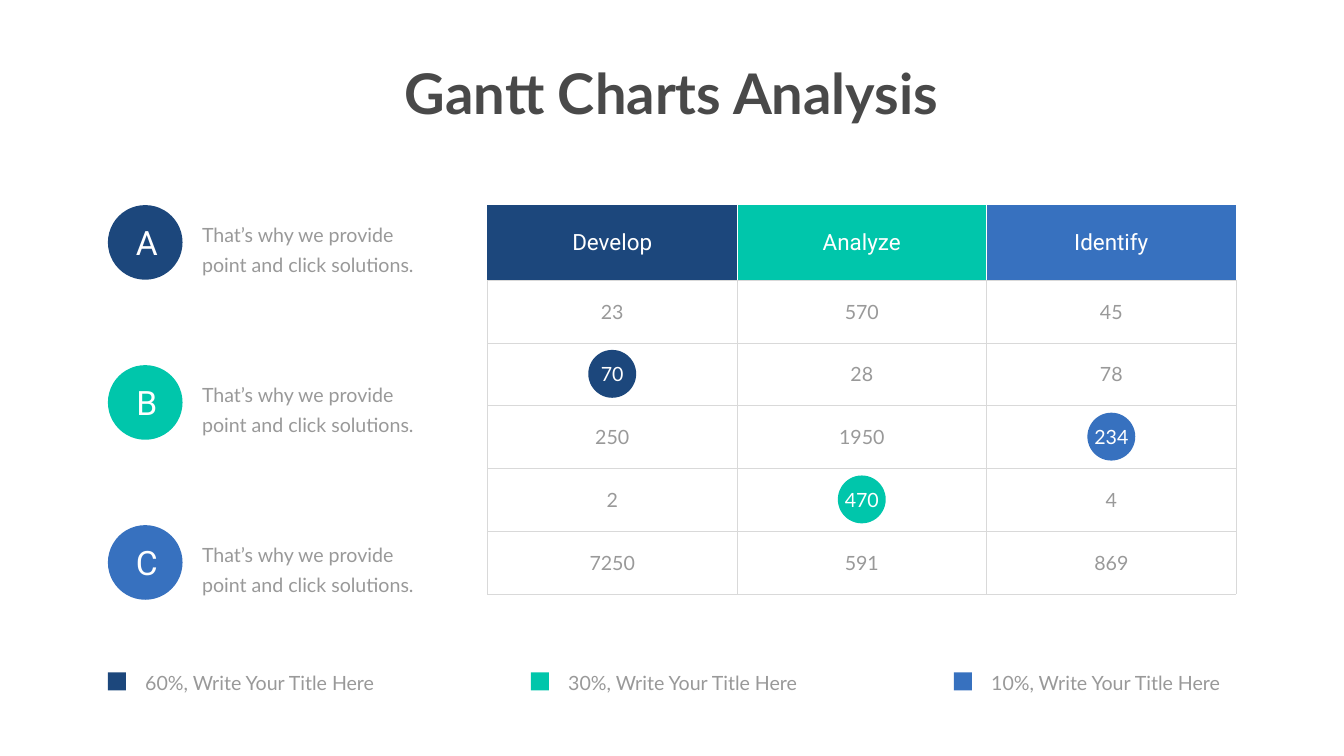
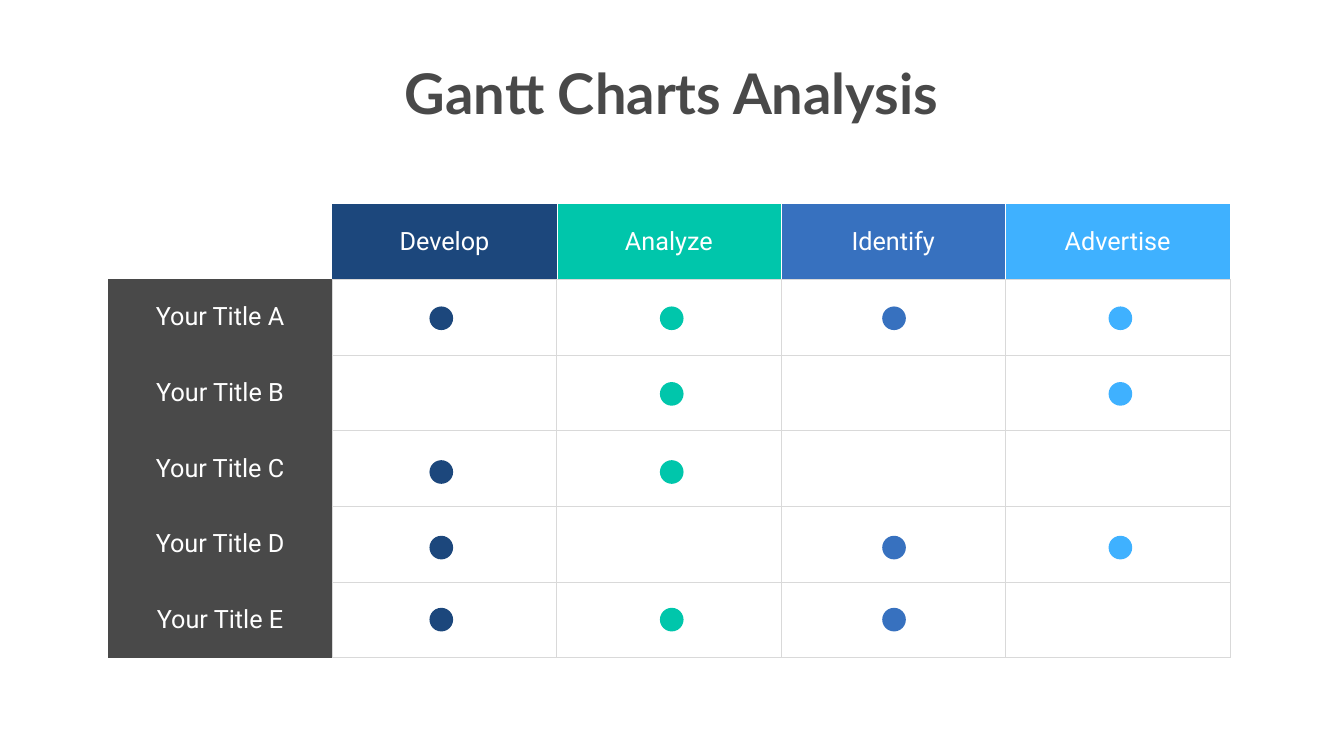
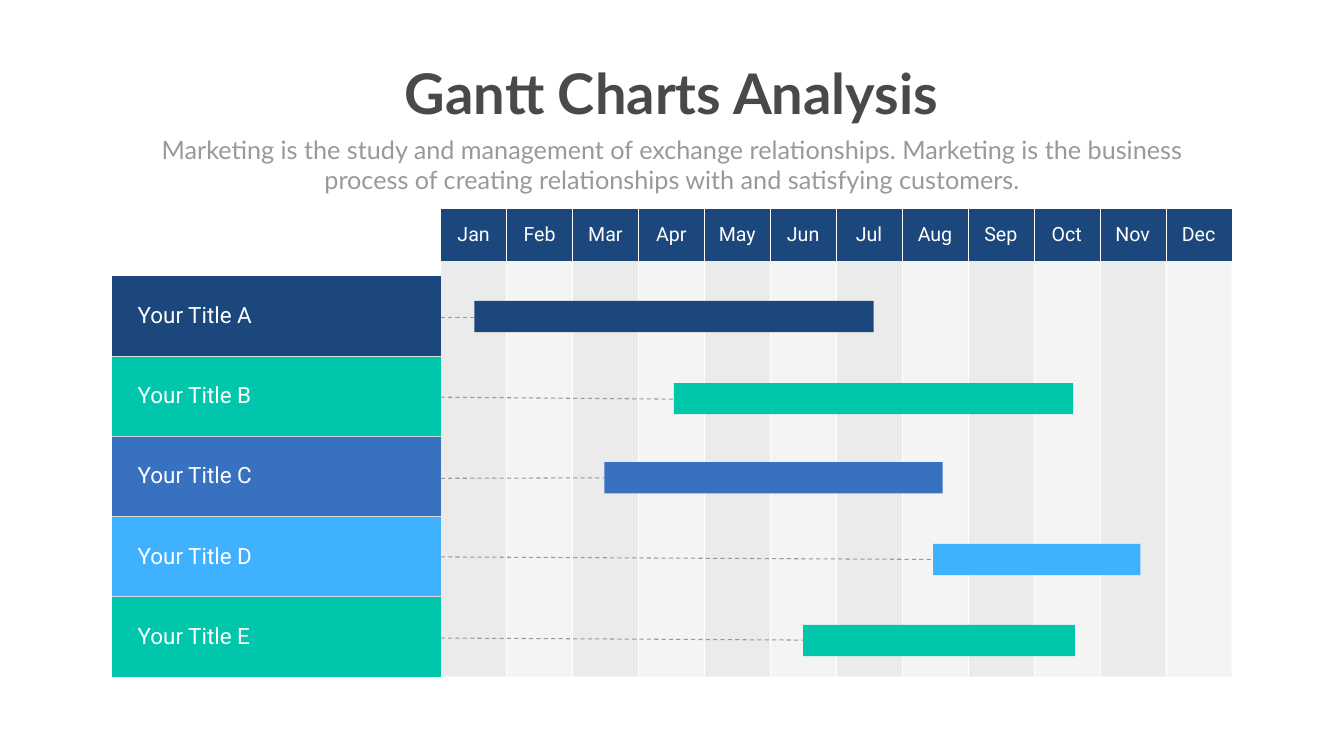
from dataclasses import dataclass
from typing import Any, NamedTuple, Optional

from lxml.etree import SubElement
from pptx import Presentation
from pptx.dml.color import RGBColor as RGB
from pptx.enum.dml import MSO_LINE as Dash
from pptx.enum.shapes import MSO_CONNECTOR as Link
from pptx.enum.shapes import MSO_SHAPE as Form
from pptx.enum.text import MSO_ANCHOR as Anchor
from pptx.enum.text import MSO_AUTO_SIZE as Fit
from pptx.enum.text import PP_ALIGN as Align
from pptx.oxml.ns import qn
from pptx.util import Pt

NAVY = RGB(0x1C, 0x47, 0x7C)
TEAL = RGB(0x00, 0xC6, 0xAB)
BLUE = RGB(0x37, 0x71, 0xBF)
SKY = RGB(0x3F, 0xB1, 0xFF)
DARK = RGB(0x49, 0x49, 0x49)
GREY = RGB(0x99, 0x99, 0x99)
RULE = RGB(0xD9, 0xD9, 0xD9)
PALE = RGB(0xF2, 0xF2, 0xF2)
WHITE = RGB(0xFF, 0xFF, 0xFF)
HUES = (NAVY, TEAL, BLUE, SKY)
HEADS = ("Develop", "Analyze", "Identify", "Advertise")
TITLE = "Gantt Charts Analysis"
ROWS = [f"Your Title {mark}" for mark in "ABCDE"]


class Box(NamedTuple):
    left: float
    top: float
    width: float
    height: float


class Edge(NamedTuple):
    color: RGB
    width: float


class Bar(NamedTuple):
    left: float
    top: float
    width: float
    start: float
    end: float
    color: RGB


@dataclass(frozen=True)
class Look:
    name: str
    size: float
    color: RGB
    bold: bool = False
    align: Align = Align.CENTER
    line: Optional[float] = None


@dataclass(frozen=True)
class Skin:
    fill: Optional[RGB] = None
    edges: Optional[dict[str, Edge]] = None
    alpha: Optional[int] = None
    indent: float = 7.2


HEAD = Look("Lato", 80, DARK, True)
NOTE = Look("Lato", 36, GREY)
BODY = Look("Lato", 28, GREY, align=Align.LEFT, line=43)
KEY = Look("Lato", 28, GREY, align=Align.LEFT, line=40.8)
MARK = Look("Roboto", 48, WHITE)
CELL = Look("Lato", 28, GREY)
PICK = Look("Lato", 28, WHITE)
MONTH = Look("Roboto", 28, WHITE)
COLUMN = Look("Roboto", 32, WHITE)
LARGE = Look("Roboto", 36, WHITE)
TASK = Look("Roboto", 32, WHITE, align=Align.LEFT)
THIN = Edge(WHITE, 0.5)
GRID = Edge(RULE, 1)
FRAME = dict.fromkeys("LRTB", GRID)


def apply(thing: Any, vals: dict[str, Any]) -> None:
    for name, val in vals.items():
        setattr(thing, name, val)


def place(box: Box) -> list[Pt]:
    return [Pt(side) for side in box]


def write(frame: Any, text: str, look: Look) -> None:
    para = frame.paragraphs[0]
    run = para.add_run()
    run.text = text
    apply(para, {"alignment": look.align, "space_before": Pt(0)})
    if look.line:
        para.line_spacing = Pt(look.line)
    apply(run.font, {"name": look.name, "size": Pt(look.size), "bold": look.bold})
    run.font.color.rgb = look.color


def label(shapes: Any, box: Box, text: str, look: Look, pad: tuple = (7.2, 3.6)) -> None:
    frame = shapes.add_textbox(*place(box)).text_frame
    apply(frame, {
        "word_wrap": True, "auto_size": Fit.SHAPE_TO_FIT_TEXT,
        "margin_left": Pt(pad[0]), "margin_right": Pt(pad[0]),
        "margin_top": Pt(pad[1]), "margin_bottom": Pt(pad[1]),
    })
    write(frame, text, look)


def fill_holder(holder: Any, box: Box, text: str, look: Look, wrap: bool) -> None:
    apply(holder, dict(zip(Box._fields, place(box))))
    apply(holder.text_frame, {
        "word_wrap": wrap, "auto_size": Fit.SHAPE_TO_FIT_TEXT,
        "vertical_anchor": Anchor.TOP,
    })
    write(holder.text_frame, text, look)


def draw(shapes: Any, form: Form, box: Box, color: RGB) -> None:
    shape = shapes.add_shape(form, *place(box))
    shape.shadow.inherit = False
    shape.fill.solid()
    shape.fill.fore_color.rgb = color
    shape.line.fill.background()


def link(shapes: Any, start: tuple, end: tuple) -> None:
    line = shapes.add_connector(Link.STRAIGHT, *(Pt(n) for n in start + end))
    apply(line.line, {"width": Pt(1.5), "dash_style": Dash.DASH})
    line.line.color.rgb = GREY
    SubElement(line._element.spPr, qn("a:effectLst"))


def add_grid(shapes: Any, left: float, top: float, cols: list, rows: list) -> Any:
    box = Box(left, top, sum(cols), sum(rows))
    table = shapes.add_table(len(rows), len(cols), *place(box)).table
    apply(table, {"first_row": False, "horz_banding": False})
    for col, width in zip(table.columns, cols):
        col.width = Pt(width)
    for row, height in zip(table.rows, rows):
        row.height = Pt(height)
    return table


def dress(cell: Any, skin: Skin, text: str = "", look: Look = CELL) -> None:
    props = cell._tc.get_or_add_tcPr()
    for side in "LRTB":
        edge = (skin.edges or {}).get(side)
        line = SubElement(props, qn(f"a:ln{side}"))
        if edge:
            line.set("w", str(Pt(edge.width)))
            paint = SubElement(line, qn("a:solidFill"))
            SubElement(paint, qn("a:srgbClr")).set("val", str(edge.color))
        else:
            SubElement(line, qn("a:noFill"))
    if skin.fill is None:
        cell.fill.background()
    else:
        cell.fill.solid()
        cell.fill.fore_color.rgb = skin.fill
    if skin.alpha:
        tint = props.find(qn("a:solidFill")).find(qn("a:srgbClr"))
        SubElement(tint, qn("a:alpha")).set("val", str(skin.alpha * 1000))
    apply(cell, {"vertical_anchor": Anchor.MIDDLE, "margin_left": Pt(skin.indent)})
    if text:
        write(cell.text_frame, text, look)


def inner(col: int, count: int) -> dict[str, Edge]:
    edges = {}
    if col > 0:
        edges["L"] = THIN
    if col < count - 1:
        edges["R"] = THIN
    return edges


def add_heads(table: Any, first: int, count: int, look: Look) -> None:
    for col in range(count):
        skin = Skin(HUES[col], {**inner(col, count), "B": GRID})
        dress(table.cell(0, col + first), skin, HEADS[col], look)


def start(deck: Any, layout: int) -> Any:
    slide = deck.slides.add_slide(deck.slide_layouts[layout])
    fill_holder(slide.shapes.title, Box(559.4, 80.6, 800, 104.4), TITLE, HEAD, False)
    return slide


def add_figures(deck: Any) -> None:
    shapes = start(deck, 5).shapes
    left, top, width, head, height, size = 696.2, 293, 356.4, 107.3, 89.7, 68.4
    data = (
        (23, 570, 45), (70, 28, 78), (250, 1950, 234), (2, 470, 4), (7250, 591, 869),
    )
    picks = {(2, 2): BLUE, (3, 1): TEAL, (1, 0): NAVY}
    for (row, col), color in picks.items():
        x = left + (col + 0.5) * width - size / 2
        y = top + head + (row + 0.5) * height - size / 2 - 0.8
        draw(shapes, Form.OVAL, Box(x, y, size, size), color)
    table = add_grid(shapes, left, top, [width] * 3, [head] + [height] * 5)
    add_heads(table, 0, 3, COLUMN)
    for row, nums in enumerate(data):
        for col, num in enumerate(nums):
            look = PICK if (row, col) in picks else CELL
            dress(table.cell(row + 1, col), Skin(edges=FRAME), str(num), look)

    for n, (mark, color) in enumerate(zip("ABC", HUES)):
        y = top + n * 228.6
        group = shapes.add_group_shape().shapes
        draw(group, Form.OVAL, Box(154.1, y, 106.6, 106.6), color)
        label(group, Box(177.8, y + 20.9, 64.1, 65.5), mark, MARK)
        label(group, Box(281.5, y + 12.6, 330.5, 80.6),
              "That’s why we provide point and click solutions.", BODY)

    for n, (share, color) in enumerate(zip((60, 30, 10), HUES)):
        x = 154.1 + n * 604.1
        group = shapes.add_group_shape().shapes
        label(group, Box(x + 36, 943.2, 367.2, 54),
              f"{share}%, Write Your Title Here", KEY, (17.3, 8.6))
        draw(group, Form.RECTANGLE, Box(x, 960.5, 25.9, 25.9), color)


def add_matrix(deck: Any) -> None:
    shapes = start(deck, 5).shapes
    table = add_grid(shapes, 154.1, 290.9, [320.5] * 5, [108.1] * 6)
    dress(table.cell(0, 0), Skin(WHITE))
    add_heads(table, 1, 4, LARGE)
    for row, text in enumerate(ROWS, 1):
        dress(table.cell(row, 0), Skin(DARK, {"R": GRID}), text, LARGE)
        for col in range(1, 5):
            dress(table.cell(row, col), Skin(WHITE, FRAME))

    lefts = (613.4, 942.5, 1260, 1583.3)
    tops = (437.8, 545.8, 657.4, 765.4, 868.3)
    marks = ((0, 1, 2, 3), (1, 3), (0, 1), (0, 2, 3), (0, 1, 2))
    for y, cols in zip(tops, marks):
        for col in cols:
            draw(shapes, Form.OVAL, Box(lefts[col], y, 33.8, 33.8), HUES[col])


def add_plan(deck: Any) -> None:
    slide = start(deck, 0)
    shapes = slide.shapes
    fill_holder(
        slide.placeholders[1], Box(210.2, 187.9, 1499, 94.3),
        "Marketing is the study and management of exchange relationships. "
        "Marketing is the business process of creating relationships with "
        "and satisfying customers.", NOTE, True)

    left, top = 629.3, 298.8
    months = "Jan Feb Mar Apr May Jun Jul Aug Sep Oct Nov Dec".split()
    table = add_grid(shapes, left, top, [94.14] * 12, [74.4, 593.6])
    for col, month in enumerate(months):
        edges = inner(col, 12)
        dress(table.cell(0, col), Skin(NAVY, edges), month, MONTH)
        tint, alpha = ((RULE, 50), (PALE, 80))[col % 2]
        dress(table.cell(1, col), Skin(tint, edges, alpha))

    bars = (
        Bar(677.5, 429.8, 570.2, 453.6, 453.6, NAVY),
        Bar(962.6, 547.2, 570.2, 567.4, 570.2, TEAL),
        Bar(863.3, 660.2, 483.1, 683.3, 682.6, BLUE),
        Bar(1332.7, 776.9, 295.9, 795.6, 799.2, SKY),
        Bar(1147, 892.8, 388.1, 911.5, 914.4, TEAL),
    )
    tasks = add_grid(shapes, 160.6, top, [468.7], [95] + [114.6] * 5)
    dress(tasks.cell(0, 0), Skin(WHITE, {"L": Edge(WHITE, 1), "T": Edge(WHITE, 1), "R": THIN}))
    for row, (text, bar) in enumerate(zip(ROWS, bars), 1):
        edges = {}
        if row > 1:
            edges["T"] = GRID
        if row < len(bars):
            edges["B"] = GRID
        dress(tasks.cell(row, 0), Skin(bar.color, edges, indent=36), text, TASK)
    for bar in bars:
        draw(shapes, Form.RECTANGLE, Box(bar.left, bar.top, bar.width, 44.6), bar.color)
    for bar in bars:
        link(shapes, (left, bar.start), (bar.left, bar.end))


def main() -> None:
    deck = Presentation()
    apply(deck, {"slide_width": Pt(1919.5), "slide_height": Pt(1080)})
    for build in (add_figures, add_matrix, add_plan):
        build(deck)
    deck.save("out.pptx")


if __name__ == "__main__":
    main()
